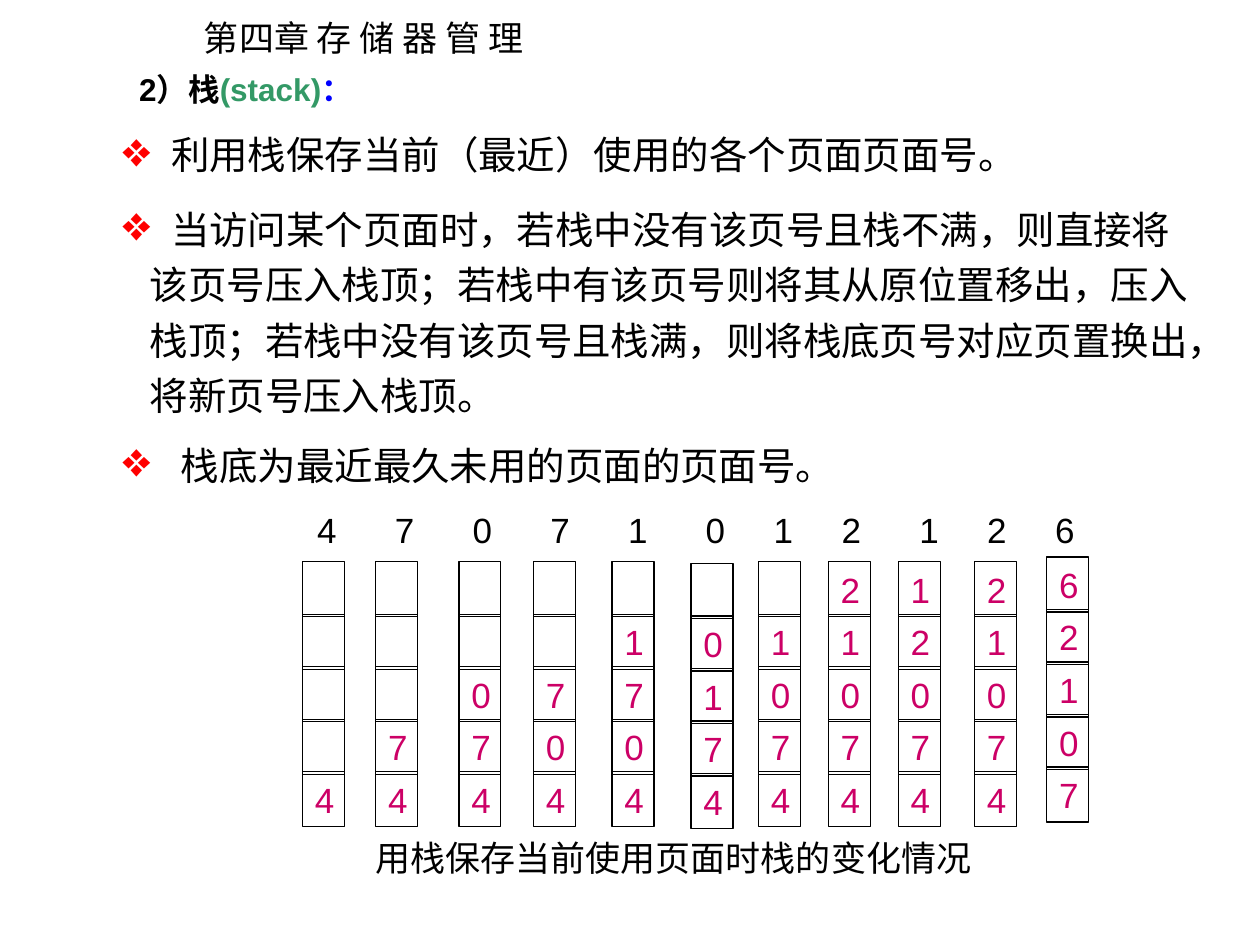
from dataclasses import dataclass
from itertools import accumulate

import pptx
import pptx.dml.color
import pptx.enum.shapes
import pptx.enum.text
import pptx.oxml.ns
import pptx.util
from lxml import etree

Pt = pptx.util.Pt
RGBColor = pptx.dml.color.RGBColor

BLACK = RGBColor(0x00, 0x00, 0x00)
BLUE = RGBColor(0x00, 0x00, 0xFF)
GREEN = RGBColor(0x33, 0x99, 0x66)
MAGENTA = RGBColor(0xCC, 0x00, 0x66)
RED = RGBColor(0xFF, 0x00, 0x00)

LATIN = "Arial"
CJK = "Noto Sans CJK SC"

BULLET_MARGIN, BULLET_HANG = 36, 15.5
CELL_W, CELL_H, CELL_PITCH = 24, 31.5, 30
STACK_SIZE = 5
WIDE, NARROW = 44.4, 38.8


@dataclass
class Point:
    text: str
    gap: float  # between the bullet margin and the first character
    before: float
    after: float


@dataclass
class Column:
    page: int
    left: float
    top: float = 321


HEADING = [("2）栈", BLACK), ("(stack)", GREEN), ("：", BLUE)]

POINTS = [
    Point("利用栈保存当前（最近）使用的各个页面页面号。", 12.2, 8.2, 2.8),
    Point("当访问某个页面时，若栈中没有该页号且栈不满，则直接将该页号压入栈顶；"
          "若栈中有该页号则将其从原位置移出，压入栈顶；"
          "若栈中没有该页号且栈满，则将栈底页号对应页置换出，将新页号压入栈顶。",
          12.2, 8.2, 2.8),
    Point("栈底为最近最久未用的页面的页面号。", 17.8, 5.5, 0),
]

COLUMNS = [
    Column(4, 172.8), Column(7, 214.7), Column(0, 262.2), Column(7, 304.8),
    Column(1, 349.7), Column(0, 394.8, 322), Column(1, 433.4),
    Column(2, 473.3), Column(1, 513.3), Column(2, 556.8),
    Column(6, 598.1, 318.25),
]

PAGE_STEPS = [WIDE] * 5 + [NARROW] * 2 + [WIDE] + [NARROW] * 2


def sub(parent, tag: str, **attrs: str):
    return etree.SubElement(parent, pptx.oxml.ns.qn(tag), **attrs)


def set_indent(p, margin: float, first: float = 0) -> None:
    pPr = p._p.get_or_add_pPr()
    pPr.set("marL", str(int(Pt(margin))))
    pPr.set("indent", str(int(Pt(first))))


def add_tabs(p, stops: list[float]) -> None:
    tabs = sub(p._p.get_or_add_pPr(), "a:tabLst")
    for stop in stops:
        sub(tabs, "a:tab", pos=str(int(Pt(stop))), algn="l")


def set_font(p, size: float, color: RGBColor | None = BLACK,
             name: str = LATIN, bold: bool = False) -> None:
    p.font.size = Pt(size)
    p.font.name = name
    p.font.bold = bold
    if color is not None:
        p.font.color.rgb = color


def add_box(s, left: float, top: float, width: float, height: float,
            wrap: bool = True):
    tf = s.shapes.add_textbox(Pt(left), Pt(top), Pt(width), Pt(height)).text_frame
    tf.word_wrap = wrap
    return tf


def add_line(s, text: str, left: float, top: float, width: float,
             name: str = LATIN) -> None:
    p = add_box(s, left, top, width, 31.5, wrap=False).paragraphs[0]
    p.text = text
    set_font(p, 20, name=name)


def add_point(tf, point: Point) -> None:
    p = tf.add_paragraph()
    p.text = "\t" + point.text
    p.level = 1
    p.line_spacing = 1.2
    p.space_before, p.space_after = Pt(point.before), Pt(point.after)
    set_indent(p, BULLET_MARGIN, -BULLET_HANG)
    pPr = p._p.get_or_add_pPr()
    sub(sub(pPr, "a:buClr"), "a:srgbClr", val=str(RED))
    sub(pPr, "a:buSzPct", val="127000")
    sub(pPr, "a:buChar", char="❖")
    add_tabs(p, [BULLET_MARGIN + point.gap])
    set_font(p, 22)


def add_stack(s, column: Column, stack: list[int]) -> None:
    group = s.shapes.add_group_shape()
    cells = [""] * (STACK_SIZE - len(stack)) + [str(n) for n in reversed(stack)]
    for i, text in enumerate(cells):
        sp = group.shapes.add_shape(
            pptx.enum.shapes.MSO_SHAPE.RECTANGLE, Pt(column.left),
            Pt(column.top + i * CELL_PITCH), Pt(CELL_W), Pt(CELL_H))
        sp.shadow.inherit = False
        sp.fill.background()
        sp.line.color.rgb = BLACK
        sp.line.width = Pt(0.75)
        if text:
            tf = sp.text_frame
            tf.word_wrap = True
            p = tf.paragraphs[0]
            p.text = text
            p.alignment = pptx.enum.text.PP_ALIGN.LEFT
            set_font(p, 20, MAGENTA)


def main() -> None:
    prs = pptx.Presentation()
    prs.slide_width, prs.slide_height = Pt(720), Pt(540)
    s = prs.slides.add_slide(prs.slide_layouts[6])

    # Chapter title
    add_line(s, "第四章 存 储 器 管 理", 109.5, 5.75, 201.5, CJK)

    # Heading and bullet points
    tf = add_box(s, 42.5, 32.2, 653.75, 250.5)
    p = tf.paragraphs[0]
    p.line_spacing = 1.2
    set_indent(p, 30)
    set_font(p, 18, color=None, bold=True)
    for text, color in HEADING:
        r = p.add_run()
        r.text = text
        r.font.color.rgb = color
    for point in POINTS:
        add_point(tf, point)

    # Stack after each page access, most recent page on top
    stack = []
    for column in COLUMNS:
        stack = [n for n in stack if n != column.page] + [column.page]
        stack = stack[-STACK_SIZE:]
        add_stack(s, column, stack)

    # Page reference string
    p = add_box(s, 174.2, 287.3, 545.8, 31.5).paragraphs[0]
    p.text = "\t".join(str(column.page) for column in COLUMNS)
    add_tabs(p, list(accumulate(PAGE_STEPS)))
    set_font(p, 20)

    # Caption
    add_line(s, "用栈保存当前使用页面时栈的变化情况", 207.4, 474.5, 366)

    prs.save("out.pptx")


if __name__ == "__main__":
    main()
